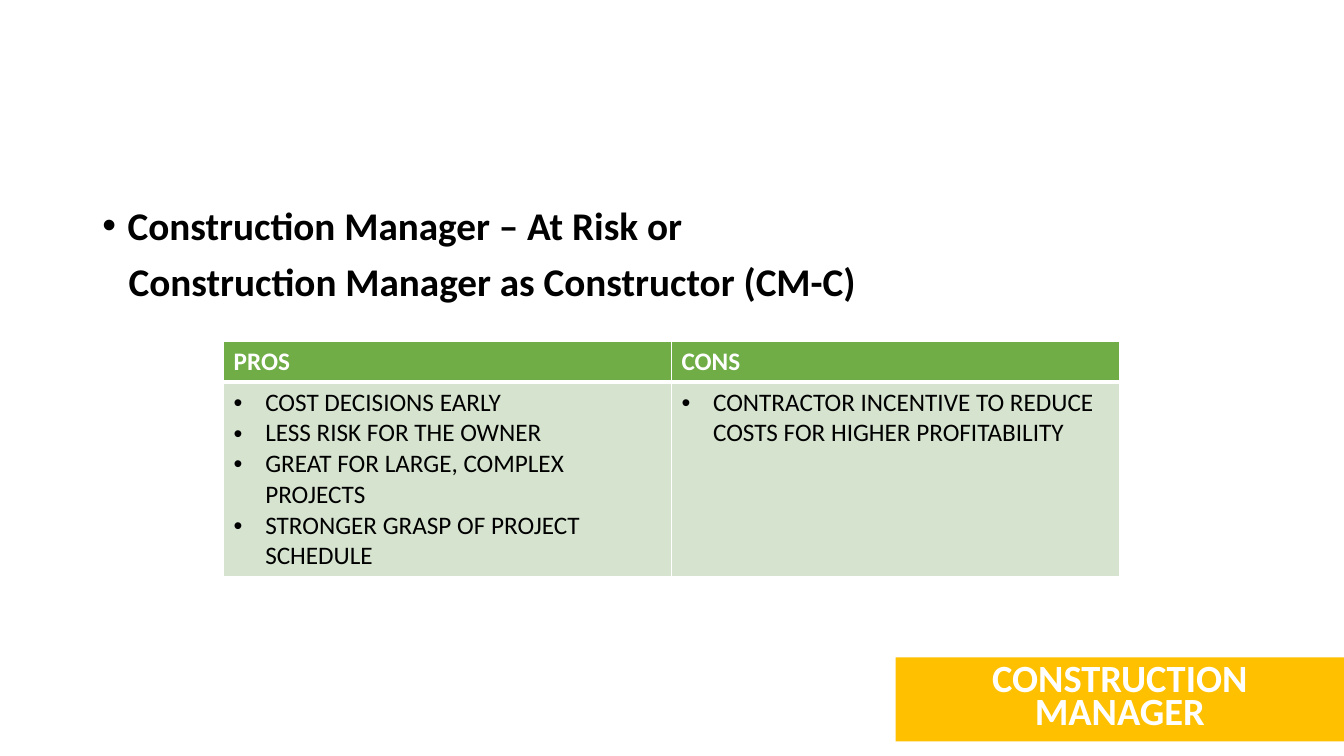
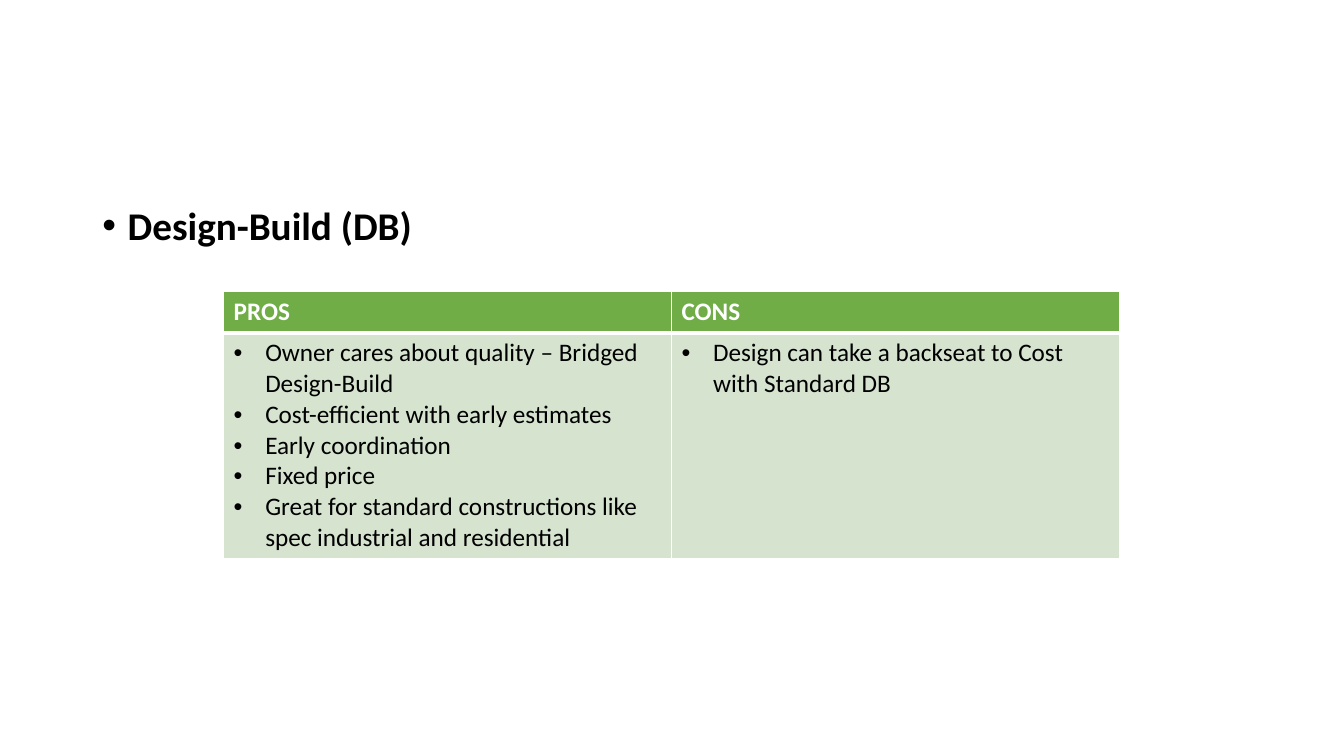
import dataclasses
import typing

import lxml.etree
import pptx
import pptx.dml.color
import pptx.enum.shapes
import pptx.enum.text
import pptx.oxml.ns
import pptx.util

RGB = pptx.dml.color.RGBColor
BLACK = RGB(0x00, 0x00, 0x00)
WHITE = RGB(0xFF, 0xFF, 0xFF)
GREEN = RGB(0x70, 0xAD, 0x47)
PALE = RGB(0xD5, 0xE3, 0xCF)
GOLD = RGB(0xFF, 0xC0, 0x00)

PX = 9525
WIDE, HIGH = 1280, 720
BULLET = "•"
HEADS = ("PROS", "CONS")

FONT = {"name": "Calibri"}
LEAD = FONT | {"size": pptx.util.Pt(28), "bold": True}
HEAD = FONT | {"size": pptx.util.Pt(18), "bold": True}
ITEM = FONT | {"size": pptx.util.Pt(18), "bold": False}
TAG = FONT | {"size": pptx.util.Pt(27.5), "bold": True}
LEADING = {"line_spacing": 0.9, "space_before": pptx.util.Pt(10)}
TIGHT = {"line_spacing": 0.7, "alignment": pptx.enum.text.PP_ALIGN.CENTER}


@dataclasses.dataclass(frozen=True)
class Box:
    left: int
    top: int
    width: int
    height: int

    def emu(self) -> list[int]:
        return [side * PX for side in dataclasses.astuple(self)]


@dataclasses.dataclass(frozen=True)
class Page:
    lines: tuple[str, ...]
    top: int
    height: int
    pros: tuple[str, ...]
    cons: tuple[str, ...]
    label: str = ""


BODY = Box(88, 192, 1104, 457)
LABEL = Box(853, 626, 427, 80)
GRID_LEFT, GRID_WIDE, HEAD_HIGH = 213, 853, 39

PAGES = (
    Page(
        ("Construction Manager – At Risk or",
         "Construction Manager as Constructor (CM-C)"),
        325, 222,
        ("COST DECISIONS EARLY",
         "LESS RISK FOR THE OWNER",
         "GREAT FOR LARGE, COMPLEX PROJECTS",
         "STRONGER GRASP OF PROJECT SCHEDULE"),
        ("CONTRACTOR INCENTIVE TO REDUCE COSTS FOR HIGHER PROFITABILITY",),
        "CONSTRUCTION MANAGER",
    ),
    Page(
        ("Design-Build (DB)",),
        278, 251,
        ("Owner cares about quality – Bridged Design-Build",
         "Cost-efficient with early estimates",
         "Early coordination",
         "Fixed price",
         "Great for standard constructions like spec industrial and residential"),
        ("Design can take a backseat to Cost with Standard DB",),
    ),
)


def apply(target: typing.Any, values: dict[str, typing.Any]) -> None:
    for name, value in values.items():
        setattr(target, name, value)


def node(parent: typing.Any, tag: str, **attrs: str) -> typing.Any:
    return lxml.etree.SubElement(parent, pptx.oxml.ns.qn(tag), **attrs)


def write(frame: typing.Any, lines: typing.Sequence[str],
          font: dict[str, typing.Any], color: RGB,
          para: dict[str, typing.Any] | None = None) -> None:
    """Fill a text frame with one paragraph per line."""
    for num, line in enumerate(lines):
        item = frame.paragraphs[0] if num == 0 else frame.add_paragraph()
        run = item.add_run()
        run.text = line
        apply(run.font, font)
        run.font.color.rgb = color
        apply(item, para or {})


def indent(item: typing.Any, left: int, bullet: bool = True) -> None:
    """Indent a paragraph, hanging its bullet if it has one."""
    props = item._p.get_or_add_pPr()
    props.set("marL", str(left * PX))
    props.set("indent", str(-left * PX if bullet else 0))
    if bullet:
        node(props, "a:buFont", typeface="Arial")
        node(props, "a:buChar", char=BULLET)
    else:
        node(props, "a:buNone")


def edge(cell: typing.Any, base: int) -> None:
    """Draw white cell borders, the lower one base points wide."""
    props = cell._tc.get_or_add_tcPr()
    sides = {"a:lnL": 1, "a:lnR": 1, "a:lnT": 1, "a:lnB": base}
    for num, (tag, width) in enumerate(sides.items()):
        line = node(props, tag, w=str(pptx.util.Pt(width)))
        node(node(line, "a:solidFill"), "a:srgbClr", val=str(WHITE))
        props.insert(num, line)


def paint(target: typing.Any, color: RGB) -> None:
    target.fill.solid()
    target.fill.fore_color.rgb = color


def add_lead(slide: typing.Any, lines: tuple[str, ...]) -> None:
    body = slide.placeholders[1]
    apply(body, dict(zip(("left", "top", "width", "height"), BODY.emu())))
    frame = body.text_frame
    frame.auto_size = pptx.enum.text.MSO_AUTO_SIZE.NONE
    write(frame, lines, LEAD, BLACK, LEADING)
    for num, item in enumerate(frame.paragraphs):
        indent(item, 24 if num == 0 else 25, num == 0)


def add_grid(slide: typing.Any, page: Page) -> None:
    box = Box(GRID_LEFT, page.top, GRID_WIDE, page.height)
    table = slide.shapes.add_table(2, len(HEADS), *box.emu()).table
    table.rows[0].height = HEAD_HIGH * PX
    table.rows[1].height = (page.height - HEAD_HIGH) * PX
    for col, (head, items) in enumerate(zip(HEADS, (page.pros, page.cons))):
        top, low = table.cell(0, col), table.cell(1, col)
        write(top.text_frame, [head], HEAD, WHITE)
        write(low.text_frame, items, ITEM, BLACK)
        for item in low.text_frame.paragraphs:
            indent(item, 30)
        for cell, color, base in ((top, GREEN, 3), (low, PALE, 1)):
            paint(cell, color)
            edge(cell, base)


def add_label(slide: typing.Any, text: str) -> None:
    kind = pptx.enum.shapes.MSO_SHAPE.RECTANGLE
    shape = slide.shapes.add_shape(kind, *LABEL.emu())
    shape.shadow.inherit = False
    paint(shape, GOLD)
    shape.line.fill.background()
    frame = shape.text_frame
    apply(frame, {"word_wrap": True,
                  "vertical_anchor": pptx.enum.text.MSO_ANCHOR.MIDDLE})
    write(frame, [text], TAG, WHITE, TIGHT)


def main() -> None:
    deck = pptx.Presentation()
    apply(deck, {"slide_width": WIDE * PX, "slide_height": HIGH * PX})
    for page in PAGES:
        slide = deck.slides.add_slide(deck.slide_layouts[1])
        title = slide.shapes.title.element
        title.getparent().remove(title)
        add_lead(slide, page.lines)
        add_grid(slide, page)
        if page.label:
            add_label(slide, page.label)
    deck.save("out.pptx")


if __name__ == "__main__":
    main()
